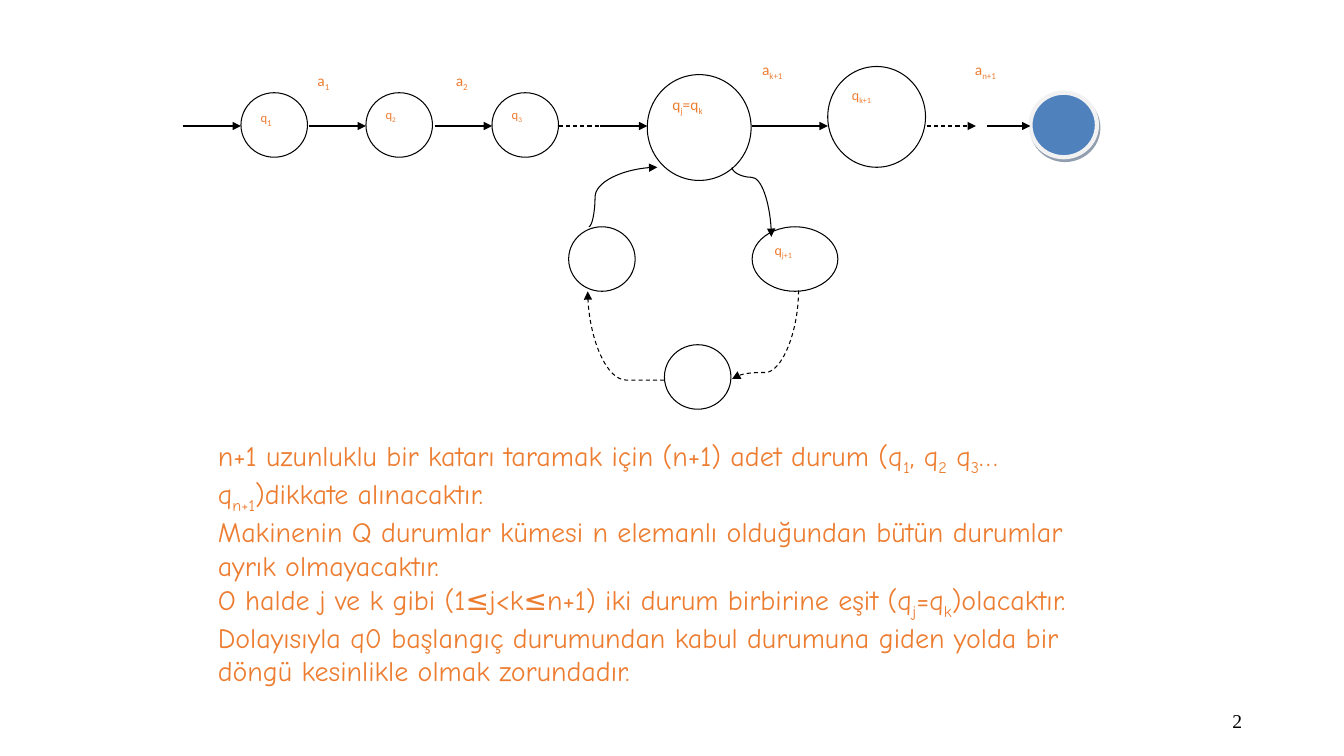
from lxml.etree import SubElement
from pptx import Presentation
from pptx.dml.color import RGBColor
from pptx.enum.dml import MSO_LINE
from pptx.enum.shapes import MSO_CONNECTOR, MSO_SHAPE
from pptx.enum.text import MSO_ANCHOR, PP_ALIGN
from pptx.oxml.ns import qn
from pptx.util import Pt

PIXEL = 9144
BLACK = RGBColor(0x00, 0x00, 0x00)
WHITE = RGBColor(0xFF, 0xFF, 0xFF)
ORANGE = RGBColor(0xED, 0x7D, 0x31)
BLUE = RGBColor(0x4F, 0x81, 0xBD)
PALE_GREY = RGBColor(0xF2, 0xF2, 0xF2)
NAVY = RGBColor(0x24, 0x3F, 0x60)

AXIS = 125
STATES = [
    (239, 92, 66, 64, "q|1", 9, 11),
    (363, 92, 66, 64, "q|2", 9, 9),
    (488, 92, 66, 64, "q|3", 9, 9),
    (821, 66, 97, 100, "q|k+1", 10, 10),
    (642, 74, 103, 105, "q|j|=q|k", 11, 11),
    (746, 225, 85, 64, "q|j+1", 10, 10),
    (659, 342, 66, 64, "", 10, 10),
    (564, 225, 66, 64, "", 10, 10),
]
ARROWS = [
    (182, 239, False, True),
    (306, 363, False, True),
    (431, 488, False, True),
    (554, 595, True, False),
    (595, 642, False, True),
    (746, 821, False, True),
    (919, 968, True, True),
    (979, 1022, False, True),
]
CURVES = [
    ((780, 181), (711, 220), 270, 14400, False),
    ((584, 225), (652, 166), 0, 9100, False),
    ((665, 295), (577, 371), 90, 0, True),
    ((715, 299), (803, 365), 90, 92700, True),
]
LABELS = [
    (305, 66, 58, 43, "a|1", PP_ALIGN.LEFT),
    (429, 66, 58, 43, "a|2", PP_ALIGN.CENTER),
    (746, 55, 65, 54, "a|k+1", PP_ALIGN.LEFT),
    (957, 55, 65, 54, "a|n+1", PP_ALIGN.LEFT),
]
EXPLANATION = [
    "n+1 uzunluklu bir katarı taramak için (n+1) adet durum "
    "(q|1|, q|2| q|3|… q|n+1|)dikkate alınacaktır.",
    "Makinenin Q durumlar kümesi n elemanlı olduğundan bütün durumlar ayrık olmayacaktır.",
    "O halde j ve k gibi (1≤j<k≤n+1) iki durum birbirine eşit (q|j|=q|k|)olacaktır.",
    "Dolayısıyla q0 başlangıç durumundan kabul durumuna giden yolda bir döngü "
    "kesinlikle olmak zorundadır.",
]


class AutomatonSlide:
    """Draws states, arrows and text on one slide in a shared style."""

    def __init__(self, presentation):
        self.slide = presentation.slides.add_slide(presentation.slide_layouts[1])
        title = self.slide.shapes.title
        title.element.getparent().remove(title.element)

    def add_text(self, paragraph, text, size, subscript_size=None, name="Calibri", color=ORANGE):
        for index, part in enumerate(text.split("|")):
            if not part:
                continue
            run = paragraph.add_run()
            run.text = part
            is_subscript = index % 2 == 1
            run.font.color.rgb = color
            formats = {"name": name, "size": Pt(subscript_size or size if is_subscript else size)}
            for attribute, value in formats.items():
                setattr(run.font, attribute, value)
            if is_subscript:
                run.font._element.set("baseline", "-25000")

    def box(self, preset, bounds, fill, outline, width=0.75):
        shape = self.slide.shapes.add_shape(preset, *(value * PIXEL for value in bounds))
        shape.shadow.inherit = False
        shape.fill.solid()
        shape.fill.fore_color.rgb = fill
        shape.line.color.rgb = outline
        shape.line.width = Pt(width)
        shape.text_frame.vertical_anchor = MSO_ANCHOR.TOP
        return shape

    def state(self, left, top, width, height, text, size, subscript_size):
        shape = self.box(MSO_SHAPE.OVAL, (left, top, width, height), WHITE, BLACK)
        paragraph = shape.text_frame.paragraphs[0]
        paragraph.alignment = PP_ALIGN.LEFT
        self.add_text(paragraph, text, size, subscript_size)

    def accepting_state(self, *bounds):
        shape = self.box(MSO_SHAPE.OVAL, bounds, BLUE, PALE_GREY, 3)
        effects = shape.element.spPr.find(qn("a:effectLst"))
        shadow = SubElement(effects, qn("a:outerShdw"), dist=str(Pt(2.2)),
                            dir=str(63 * 60000), algn="ctr", rotWithShape="0")
        color = SubElement(shadow, qn("a:srgbClr"), val=str(NAVY))
        SubElement(color, qn("a:alpha"), val="50000")

    def label(self, left, top, width, height, text, alignment):
        shape = self.box(MSO_SHAPE.RECTANGLE, (left, top, width, height), WHITE, WHITE)
        paragraph = shape.text_frame.paragraphs[0]
        paragraph.alignment = alignment
        self.add_text(paragraph, text, 11)

    def connector(self, kind, start, end, dashed, arrowhead=True):
        connector = self.slide.shapes.add_connector(
            kind, *(value * PIXEL for value in (*start, *end)))
        connector.line.color.rgb = BLACK
        connector.line.width = Pt(0.75)
        if dashed:
            connector.line.dash_style = MSO_LINE.DASH
        properties = connector._element.spPr
        if arrowhead:
            SubElement(properties.find(qn("a:ln")), qn("a:tailEnd"), type="triangle")
        SubElement(properties, qn("a:effectLst"))
        return properties

    def arrow(self, start, end, dashed, arrowhead):
        self.connector(MSO_CONNECTOR.STRAIGHT, (start, AXIS), (end, AXIS), dashed, arrowhead)

    def curve(self, start, end, rotation, bend, dashed):
        properties = self.connector(MSO_CONNECTOR.CURVE, start, end, dashed)
        properties.find(qn("a:xfrm")).set("rot", str(rotation * 60000))
        adjustments = properties.find(qn("a:prstGeom")).find(qn("a:avLst"))
        SubElement(adjustments, qn("a:gd"), name="adj1", fmla=f"val {bend}")

    def body(self, left, top, width, height, texts):
        placeholder = self.slide.placeholders[1]
        bounds = {"left": left, "top": top, "width": width, "height": height}
        for attribute, value in bounds.items():
            setattr(placeholder, attribute, value * PIXEL)
        frame = placeholder.text_frame
        for index, text in enumerate(texts):
            paragraph = frame.add_paragraph() if index else frame.paragraphs[0]
            formats = {"space_before": Pt(0), "line_spacing": 1.0, "alignment": PP_ALIGN.LEFT}
            for attribute, value in formats.items():
                setattr(paragraph, attribute, value)
            properties = paragraph._p.get_or_add_pPr()
            properties.set("marL", "0")
            properties.set("indent", "0")
            SubElement(properties, qn("a:buNone"))
            self.add_text(paragraph, text, 20, name="Comic Neue")

    def page_number(self, left, top, width, height, text):
        bounds = (left, top, width, height)
        frame = self.slide.shapes.add_textbox(*(value * PIXEL for value in bounds)).text_frame
        frame.word_wrap = True
        frame.vertical_anchor = MSO_ANCHOR.MIDDLE
        frame.paragraphs[0].alignment = PP_ALIGN.RIGHT
        self.add_text(frame.paragraphs[0], text, 14, name="Times New Roman", color=BLACK)


def main():
    presentation = Presentation()
    presentation.slide_width = 1333 * PIXEL
    presentation.slide_height = 750 * PIXEL
    automaton = AutomatonSlide(presentation)
    for state in STATES:
        automaton.state(*state)
    automaton.accepting_state(1022, 92, 66, 64)
    for arrow in ARROWS:
        automaton.arrow(*arrow)
    for curve in CURVES:
        automaton.curve(*curve)
    for label in LABELS:
        automaton.label(*label)
    automaton.body(206, 430, 914, 279, EXPLANATION)
    automaton.page_number(942, 695, 300, 40, "2")
    presentation.save("out.pptx")


if __name__ == "__main__":
    main()
